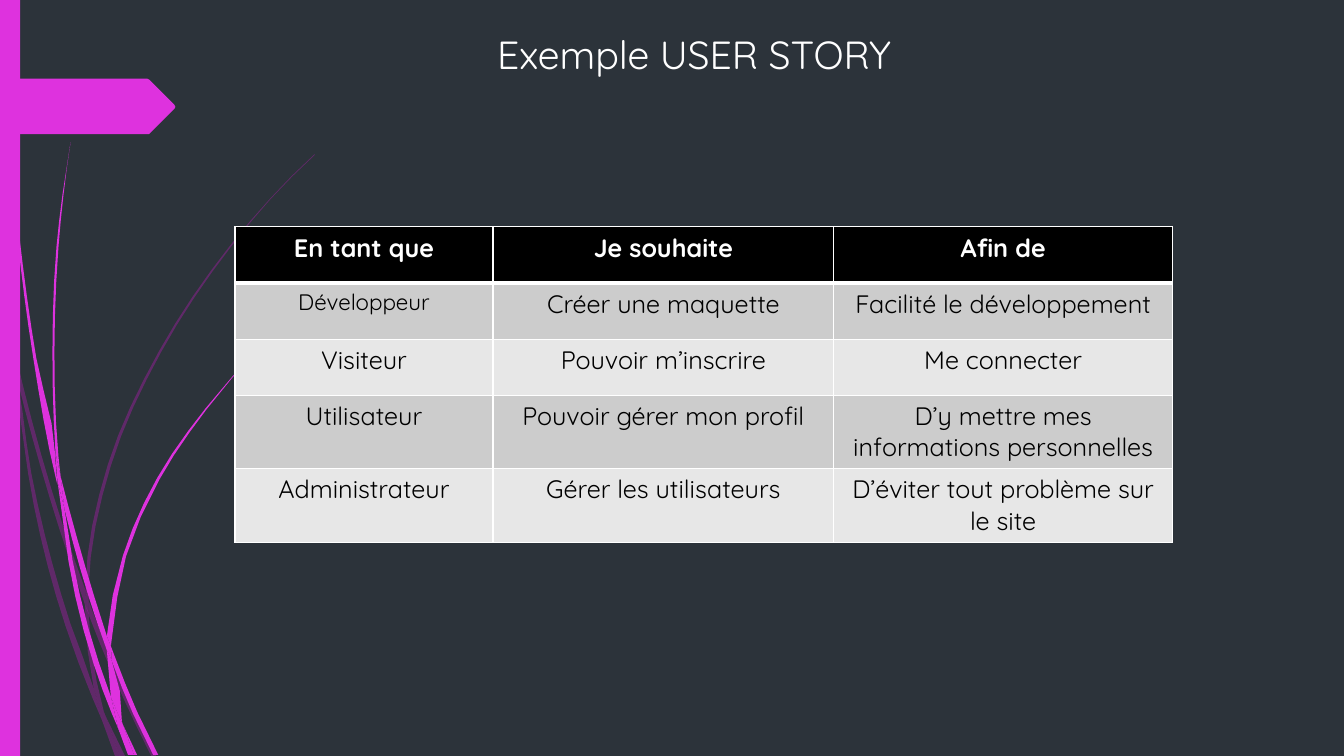
from dataclasses import dataclass
from math import dist

from lxml import etree
from pptx import Presentation
from pptx.dml.color import RGBColor
from pptx.enum.shapes import MSO_SHAPE
from pptx.enum.text import MSO_ANCHOR, MSO_AUTO_SIZE, PP_ALIGN
from pptx.oxml.ns import qn
from pptx.shapes.autoshape import Shape
from pptx.slide import Slide
from pptx.table import _Cell
from pptx.util import Inches, Pt

RECTANGLE = MSO_SHAPE.RECTANGLE
CENTER, LEFT = PP_ALIGN.CENTER, PP_ALIGN.LEFT
TOP = MSO_ANCHOR.TOP
GROW = MSO_AUTO_SIZE.SHAPE_TO_FIT_TEXT

Point = tuple[float, float]
Edge = list[Point]


@dataclass(frozen=True)
class Theme:
    font: str = "Quicksand"
    background: str = "2C333A"
    accent: str = "DE32DE"
    faded_accent: str = "B01CB0"
    white: str = "FFFFFF"
    black: str = "000000"
    bands: tuple[str, str] = ("CCCCCC", "E7E7E7")
    title_size: int = 28
    table_size: int = 18
    small_size: int = 16
    thin_border: float = 1
    thick_border: float = 3


@dataclass(frozen=True)
class Strand:
    """One blade of grass, outlined by a way out and a way back."""
    out: Edge
    back: Edge


@dataclass(frozen=True)
class Bundle:
    color: str
    opacity: int
    strands: list[Strand]


THEME = Theme()

FADED_BUNDLE = Bundle(THEME.faded_accent, 40, [
    Strand([(0.11, 3.5), (0.09, 3.22), (0, 2.82)], [(0, 2.99), (0.1, 3.44)]),
    Strand([(0.17, 3.76), (0.58, 5.22), (0.84, 5.99)], [(0.85, 5.86), (0.62, 5.2), (0.14, 3.45)]),
    Strand([(0.88, 6.1), (1.23, 6.94), (1.5, 7.5)],
           [(1.55, 7.5), (1.27, 6.92), (0.92, 6.07), (0.88, 5.96)]),
    Strand([(1.19, 7.5), (1.24, 7.5)], [(1.05, 7.11)]),
    Strand([(0.99, 7.07), (0.93, 6.83), (0.7, 6.19), (0.31, 4.69), (0.17, 3.76), (0.11, 3.5)],
           [(0.28, 4.7), (0.65, 6.21), (0.92, 6.93), (1.01, 7.14)]),
    Strand([(0.84, 5.99), (0.87, 6.46), (0.93, 6.83), (0.96, 6.92), (1.05, 7.11)],
           [(1.03, 7.06), (0.91, 6.46), (0.88, 6.1), (0.88, 6.08)]),
    Strand([(0.88, 5.96), (0.88, 5.84), (1.1, 4.62), (1.6, 3.49), (2.29, 2.45), (2.68, 1.98),
            (2.9, 1.75), (3.12, 1.54)],
           [(3.12, 1.53), (2.89, 1.75), (2.68, 1.97), (2.28, 2.44), (1.58, 3.48), (1.07, 4.61),
            (0.85, 5.84), (0.85, 5.86)]),
    Strand([(1.01, 7.14), (1.14, 7.5)], [(1.19, 7.5)]),
    Strand([(0.88, 6.1), (0.88, 5.96)], [(0.85, 5.86), (0.84, 5.99)]),
    Strand([(0.93, 6.83), (0.99, 7.07), (1.01, 7.14), (1.19, 7.5)], [(1.05, 7.11), (0.96, 6.92)]),
])

BRIGHT_BUNDLE = Bundle(THEME.accent, 100, [
    Strand([(0.03, 0), (0.04, 0.48), (0.07, 1.1), (0.17, 2.33), (0.33, 3.55), (0.56, 4.77),
            (0.57, 4.81)],
           [(0.55, 4.57), (0.55, 4.53), (0.36, 3.55), (0.19, 2.32), (0.08, 1.09), (0.05, 0.48),
            (0.04, 0)]),
    Strand([(0.64, 5.05), (0.88, 5.92), (1.06, 6.45)],
           [(1.06, 6.31), (0.93, 5.9), (0.6, 4.72)]),
    Strand([(1.11, 6.56), (1.32, 7.08), (1.52, 7.49)],
           [(1.57, 7.49), (1.36, 7.06), (1.13, 6.49), (1.1, 6.41)]),
    Strand([(1.16, 7.17), (1.1, 6.91), (0.98, 6.57), (0.72, 5.56), (0.64, 5.05), (0.57, 4.77)],
           [(0.68, 5.57), (0.93, 6.59), (1.11, 7.08), (1.17, 7.22)]),
    Strand([(0.6, 4.72), (0.58, 4.53), (0.54, 3.49), (0.58, 2.45), (0.63, 1.93), (0.7, 1.41)],
           [(0.62, 1.93), (0.56, 2.45), (0.52, 3.49), (0.55, 4.49)]),
    Strand([(1.33, 7.49), (1.36, 7.49)], [(1.22, 7.19)]),
    Strand([(0.57, 4.77), (0.64, 5.05)], [(0.6, 4.72), (0.55, 4.49), (0.55, 4.53)]),
    Strand([(1.1, 6.41), (1.11, 6.33), (1.25, 5.52), (1.58, 4.76), (2.05, 4.06), (2.31, 3.74),
            (2.45, 3.59), (2.61, 3.44)],
           [(2.6, 3.44), (2.45, 3.58), (2.31, 3.73), (2.04, 4.05), (1.56, 4.74), (1.22, 5.51),
            (1.06, 6.31)]),
    Strand([(1.17, 7.22), (1.27, 7.49)], [(1.31, 7.49)]),
    Strand([(1.06, 6.45), (1.1, 6.91), (1.16, 7.06), (1.22, 7.19)],
           [(1.21, 7.16), (1.11, 6.56), (1.09, 6.51)]),
    Strand([(1.06, 6.45), (1.09, 6.51), (1.11, 6.56)], [(1.1, 6.41), (1.06, 6.31)]),
    Strand([(1.1, 6.91), (1.16, 7.17), (1.17, 7.22), (1.3, 7.49)],
           [(1.33, 7.49), (1.22, 7.19), (1.16, 7.06)]),
])

PAGE_TAG: Edge = [(0, 0.78), (1.46, 0.78), (1.48, 0.79), (1.73, 1.04), (1.74, 1.06),
                  (1.73, 1.08), (1.48, 1.33), (0, 1.33)]

STORIES = [
    ("En tant que", "Je souhaite", "Afin de"),
    ("Développeur", "Créer une maquette", "Facilité le développement"),
    ("Visiteur", "Pouvoir m’inscrire", "Me connecter"),
    ("Utilisateur", "Pouvoir gérer mon profil", "D’y mettre mes informations personnelles"),
    ("Administrateur", "Gérer les utilisateurs", "D’éviter tout problème sur le site"),
]
COLUMN_WIDTHS = (2.56, 3.38, 3.36)
ROW_HEIGHTS = (0.56, 0.56, 0.55, 0.73, 0.73)


def smooth(edge: Edge) -> Edge:
    """Add points on a Hermite curve inside the long parts of an edge."""
    if len(edge) < 3:
        return edge
    chords = [dist(a, b) for a, b in zip(edge, edge[1:])]
    slopes = [((b[0] - a[0]) / h, (b[1] - a[1]) / h) for a, b, h in zip(edge, edge[1:], chords)]
    inner = [tuple((s * h2 + e * h1) / (h1 + h2) for s, e in zip(before, after))
             for before, after, h1, h2 in zip(slopes, slopes[1:], chords, chords[1:])]
    first, last = (tuple(2 * s - m for s, m in zip(slopes[i], inner[i])) for i in (0, -1))
    tangents = [first, *inner, last]
    curve = [edge[0]]
    for a, b, chord, start, end in zip(edge, edge[1:], chords, tangents, tangents[1:]):
        steps = max(1, round(chord * 3))
        for t in (step / steps for step in range(1, steps + 1)):
            rise = t * t * (3 - 2 * t)
            leave, arrive = chord * t * (1 - t) ** 2, chord * t * t * (t - 1)
            curve.append(tuple(a[k] + rise * (b[k] - a[k]) + leave * start[k] + arrive * end[k]
                               for k in (0, 1)))
    return curve


def paint(shape: Shape, color: str, opacity: int = 100) -> None:
    shape.shadow.inherit = False
    shape.line.fill.background()
    shape.fill.solid()
    shape.fill.fore_color.rgb = RGBColor.from_string(color)
    if opacity < 100:
        tint = shape.fill._xPr.find(qn("a:solidFill"))[0]
        etree.SubElement(tint, qn("a:alpha"), val=str(opacity * 1000))


def draw_outline(shapes, outline: Edge) -> Shape:
    first, *others = [(Inches(x), Inches(y)) for x, y in outline]
    builder = shapes.build_freeform(*first)
    builder.add_line_segments(others, close=True)
    return builder.convert_to_shape()


def draw_bundle(slide: Slide, bundle: Bundle) -> None:
    group = slide.shapes.add_group_shape()
    for strand in bundle.strands:
        blade = draw_outline(group.shapes, smooth(strand.out) + smooth(strand.back))
        paint(blade, bundle.color, bundle.opacity)


def set_borders(cell: _Cell, top: float, bottom: float) -> None:
    properties = cell._tc.get_or_add_tcPr()
    widths = {"L": THEME.thin_border, "R": THEME.thin_border, "T": top, "B": bottom}
    for place, (side, width) in enumerate(widths.items()):
        border = etree.Element(qn(f"a:ln{side}"), w=str(Pt(width)))
        fill = etree.SubElement(border, qn("a:solidFill"))
        etree.SubElement(fill, qn("a:srgbClr"), val=THEME.white)
        properties.insert(place, border)


def style_text(paragraph, size: int, color: str, bold: bool, align: PP_ALIGN) -> None:
    paragraph.alignment = align
    for run in paragraph.runs:
        run.font.name, run.font.size, run.font.bold = THEME.font, Pt(size), bold
        run.font.color.rgb = RGBColor.from_string(color)


def draw_stories(slide: Slide) -> None:
    table = slide.shapes.add_table(
        len(STORIES), len(COLUMN_WIDTHS), Inches(2.33), Inches(2.25),
        Inches(sum(COLUMN_WIDTHS)), Inches(sum(ROW_HEIGHTS))).table
    for column, width in zip(table.columns, COLUMN_WIDTHS):
        column.width = Inches(width)
    for row, height in zip(table.rows, ROW_HEIGHTS):
        row.height = Inches(height)
    thin, thick = THEME.thin_border, THEME.thick_border
    for r, story in enumerate(STORIES):
        header = r == 0
        for c, wording in enumerate(story):
            cell = table.cell(r, c)
            cell.text_frame.text = wording
            size = THEME.small_size if (r, c) == (1, 0) else THEME.table_size
            style_text(cell.text_frame.paragraphs[0], size,
                       THEME.white if header else THEME.black, header, CENTER)
            cell.fill.solid()
            cell.fill.fore_color.rgb = RGBColor.from_string(
                THEME.black if header else THEME.bands[(r - 1) % 2])
            set_borders(cell, thick if r == 1 else thin, thick if header else thin)


def place_title(slide: Slide) -> None:
    title = slide.shapes.title
    title.left, title.top, title.width, title.height = map(Inches, (4.83, 0.25, 4.33, 0.57))
    frame = title.text_frame
    frame.text = "Exemple USER STORY"
    frame.word_wrap, frame.auto_size, frame.vertical_anchor = True, GROW, TOP
    style_text(frame.paragraphs[0], THEME.title_size, THEME.white, False, LEFT)


def main() -> None:
    deck = Presentation()
    deck.slide_width, deck.slide_height = Inches(13.33), Inches(7.5)
    slide = deck.slides.add_slide(deck.slide_layouts[5])
    slide.background.fill.solid()
    slide.background.fill.fore_color.rgb = RGBColor.from_string(THEME.background)
    for bundle in (FADED_BUNDLE, BRIGHT_BUNDLE):
        draw_bundle(slide, bundle)
    side_bar = slide.shapes.add_shape(RECTANGLE, 0, 0, Inches(0.2), deck.slide_height)
    paint(side_bar, THEME.accent)
    paint(draw_outline(slide.shapes, PAGE_TAG), THEME.accent)
    draw_stories(slide)
    place_title(slide)
    deck.save("out.pptx")


if __name__ == "__main__":
    main()
